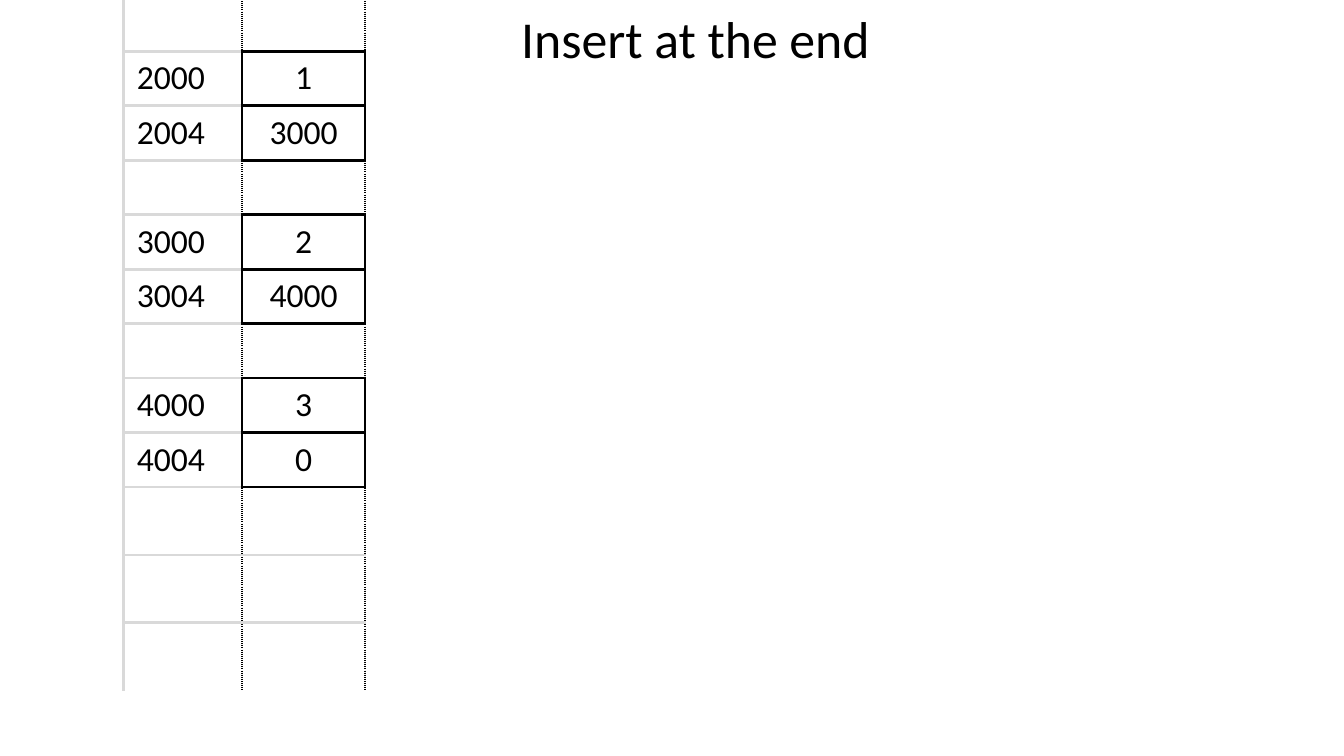
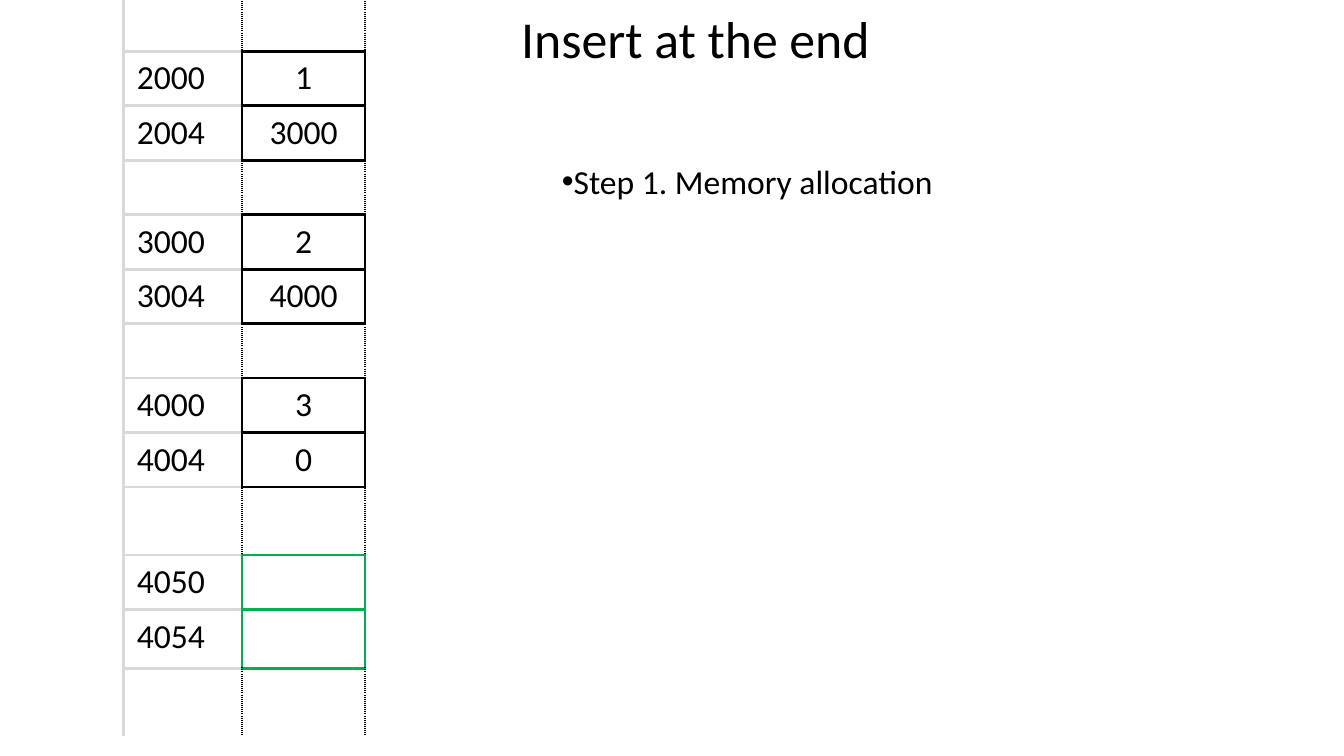
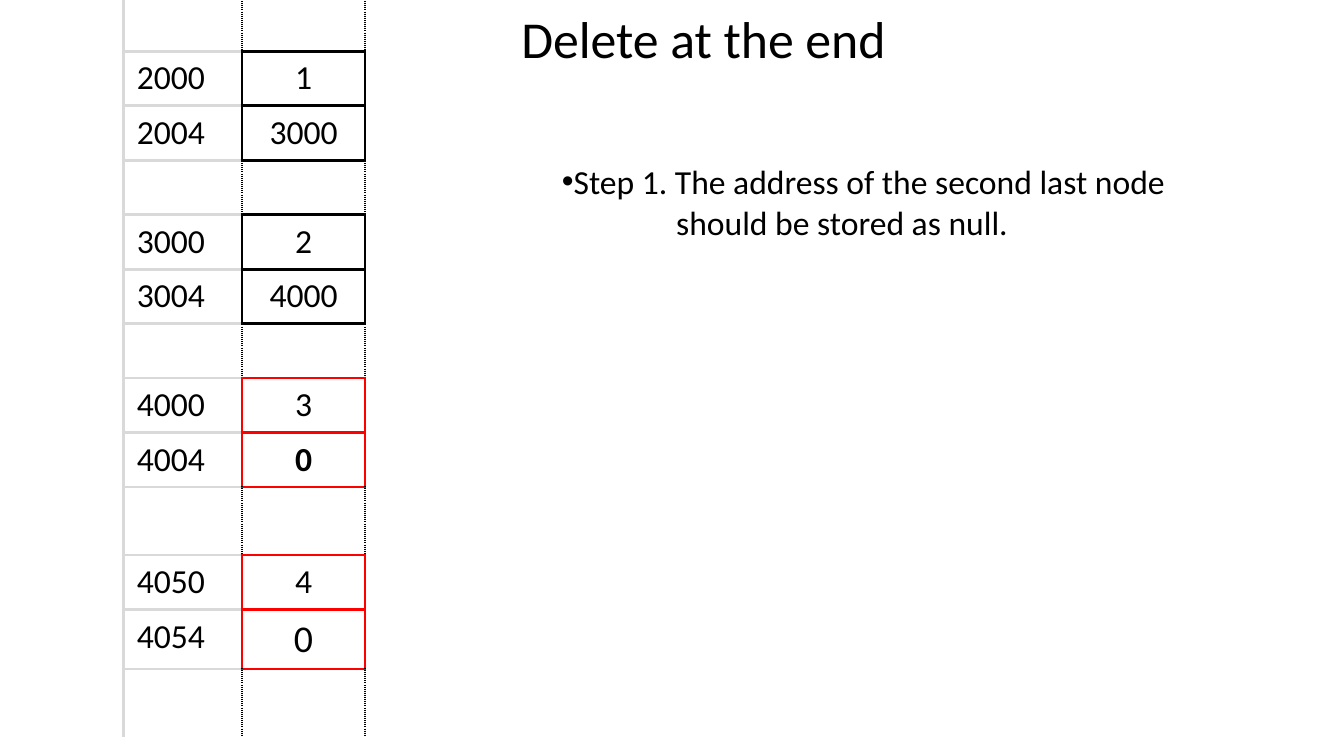
from dataclasses import dataclass

from lxml import etree
from pptx import Presentation
from pptx.dml.color import RGBColor
from pptx.enum import text
from pptx.oxml import ns
from pptx.util import Cm, Pt


@dataclass(frozen=True)
class Theme:
    font: str = "Calibri"
    black: str = "000000"
    grid: str = "D9D9D9"
    green: str = "00B050"
    red: str = "FF0000"
    title_size: float = 37
    text_size: float = 24
    large_size: float = 27
    border_width: float = 2.25


THEME = Theme()
TITLE_LAYOUT, LIST_LAYOUT = 5, 1
ROW, WIDE_ROW, LAST_NODE_ROW = 1.37, 1.71, 1.49
COLUMNS = (2.99, 3.1)
TABLE_LEFT, TABLE_TOP = 3.11, -0.08
INSETS = {"margin_left": Cm(0.34), "margin_right": Cm(0.34),
          "margin_top": Cm(0.17), "margin_bottom": Cm(0.17)}
FRAME = {**INSETS, "word_wrap": True, "auto_size": text.MSO_AUTO_SIZE.NONE,
         "vertical_anchor": text.MSO_ANCHOR.TOP}
LEFT, CENTER = text.PP_ALIGN.LEFT, text.PP_ALIGN.CENTER


@dataclass
class MemoryRow:
    address: str = ""
    value: str = ""
    node_color: str = ""
    height: float = ROW
    value_format: tuple = ()


def apply(target, values):
    for name, value in values.items():
        setattr(target, name, value)


def write(paragraph, content, alignment=LEFT, size=THEME.text_size,
          color=THEME.black, bold=False):
    apply(paragraph, {"alignment": alignment, "space_before": Pt(0)})
    run = paragraph.add_run()
    run.text = content
    apply(run.font, {"name": THEME.font, "size": Pt(size), "bold": bold})
    run.font.color.rgb = RGBColor.from_string(color)


def place(shape, left, top, width, height):
    apply(shape, {"left": Cm(left), "top": Cm(top),
                  "width": Cm(width), "height": Cm(height)})
    apply(shape.text_frame, FRAME)


def add_title(slide, content, width):
    title = slide.shapes.title
    place(title, 12.7, 0, width, 1.93)
    write(title.text_frame.paragraphs[0], content, CENTER, THEME.title_size)


def set_bullet(paragraph, bullet, indent):
    properties = paragraph._p.get_or_add_pPr()
    properties.set("marL", str(Cm(indent)))
    properties.set("indent", "0")
    mark = etree.SubElement(properties, ns.qn("a:buChar" if bullet else "a:buNone"))
    if bullet:
        mark.set("char", bullet)


def add_step(slide, lines, width, height):
    body = slide.placeholders[1]
    place(body, 13.82, 3.89, width, height)
    frame = body.text_frame
    for index, line in enumerate(lines):
        paragraph = frame.add_paragraph() if index else frame.paragraphs[0]
        write(paragraph, line)
        set_bullet(paragraph, "" if index else "•", 2.88 if index else 0)


def set_borders(cell, **borders):
    properties = cell._tc.get_or_add_tcPr()
    for index, side in enumerate("LRTB"):
        color, dash = borders[side]
        line = etree.Element(ns.qn(f"a:ln{side}"), w=str(Pt(THEME.border_width)))
        if color:
            fill = etree.SubElement(line, ns.qn("a:solidFill"))
            etree.SubElement(fill, ns.qn("a:srgbClr"), val=color)
            etree.SubElement(line, ns.qn("a:prstDash"), val=dash)
        else:
            etree.SubElement(line, ns.qn("a:noFill"))
        properties.insert(index, line)


def edge_color(above, below):
    if not above or not below:
        return ""
    return below.node_color or above.node_color or THEME.grid


def add_memory_table(slide, rows):
    height = sum(row.height for row in rows)
    table = slide.shapes.add_table(len(rows), len(COLUMNS), Cm(TABLE_LEFT), Cm(TABLE_TOP),
                                   Cm(sum(COLUMNS)), Cm(height)).table
    apply(table, {"first_row": False, "horz_banding": False})
    for column, width in zip(table.columns, COLUMNS):
        column.width = Cm(width)
    neighbours = [None, *rows, None]
    for index, row in enumerate(rows):
        table.rows[index].height = Cm(row.height)
        above, below = neighbours[index], neighbours[index + 2]
        side = (row.node_color, "solid") if row.node_color else (THEME.black, "sysDot")
        address_cell, value_cell = table.cell(index, 0), table.cell(index, 1)
        for cell in (address_cell, value_cell):
            apply(cell, INSETS)
            cell.fill.background()
        if row.address:
            write(address_cell.text_frame.paragraphs[0], row.address)
        if row.value:
            write(value_cell.text_frame.paragraphs[0], row.value, CENTER,
                  **dict(row.value_format))
        set_borders(address_cell, L=(THEME.grid, "solid"), R=side,
                    T=(THEME.grid if above else "", "solid"),
                    B=(THEME.grid if below else "", "solid"))
        set_borders(value_cell, L=side, R=side,
                    T=(edge_color(above, row), "solid"),
                    B=(edge_color(row, below), "solid"))


def gap(height=ROW):
    return MemoryRow(height=height)


def node(address, value, pointer, color=THEME.black, pointer_height=ROW, **pointer_format):
    return [MemoryRow(str(address), value, color),
            MemoryRow(str(address + 4), pointer, color, pointer_height,
                      tuple(pointer_format.items()))]


def linked_list(**last_pointer_format):
    return [gap(), *node(2000, "1", "3000"),
            gap(), *node(3000, "2", "4000"),
            gap(), *node(4000, "3", "0", **last_pointer_format),
            gap(WIDE_ROW)]


def new_slide(presentation, layout, title, title_width, rows):
    slide = presentation.slides.add_slide(presentation.slide_layouts[layout])
    add_title(slide, title, title_width)
    add_memory_table(slide, rows)
    return slide


def main():
    presentation = Presentation()
    apply(presentation, {"slide_width": Cm(33.87), "slide_height": Cm(19.05)})

    new_slide(presentation, TITLE_LAYOUT, "Insert at the end", 9.65,
              linked_list() + [gap(WIDE_ROW), gap(WIDE_ROW)])

    allocated = node(4050, "", "", THEME.green, LAST_NODE_ROW)
    slide = new_slide(presentation, LIST_LAYOUT, "Insert at the end", 9.65,
                      linked_list() + allocated + [gap(WIDE_ROW)])
    add_step(slide, ["Step 1. Memory allocation"], 10.11, 1.37)

    removed = node(4050, "4", "0", THEME.red, LAST_NODE_ROW, size=THEME.large_size)
    slide = new_slide(presentation, LIST_LAYOUT, "Delete at the end", 10.06,
                      linked_list(color=THEME.red, bold=True) + removed + [gap(WIDE_ROW)])
    add_step(slide, ["Step 1. The address of the second last node",
                     "should be stored as null."], 16.21, 3.43)

    presentation.save("out.pptx")


if __name__ == "__main__":
    main()
